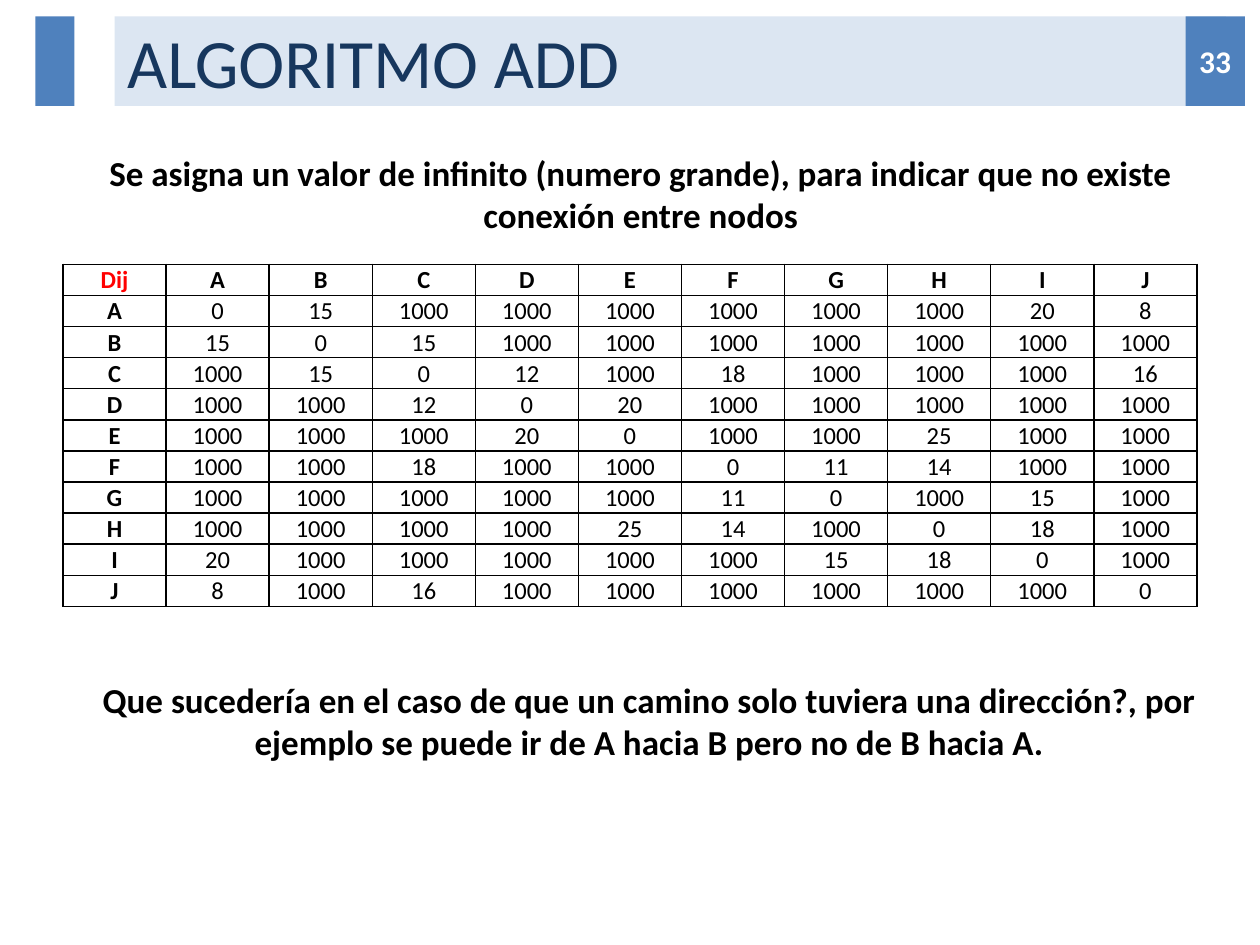
import dataclasses

import pptx
import pptx.dml.color
import pptx.enum.shapes
import pptx.enum.text
import pptx.oxml
import pptx.oxml.ns
import pptx.util

Pt = pptx.util.Pt
ALIGN = pptx.enum.text.PP_ALIGN
MIDDLE = pptx.enum.text.MSO_ANCHOR.MIDDLE

BLACK, WHITE, RED = "000000", "FFFFFF", "FF0000"
BLUE, PALE_BLUE, NAVY = "4F81BD", "DCE6F2", "17375E"
BAND_TOP, BAND_HEIGHT = 9.36, 51.12

NODES = "ABCDEFGHIJ"
NO_CONNECTION = 1000
DISTANCES = {
    "AB": 15, "AI": 20, "AJ": 8, "BC": 15, "CD": 12, "CF": 18, "CJ": 16,
    "DE": 20, "EH": 25, "FG": 11, "FH": 14, "GI": 15, "HI": 18,
}


@dataclasses.dataclass
class Box:
    left: float
    top: float
    width: float
    height: float

    def lengths(self) -> tuple:
        return Pt(self.left), Pt(self.top), Pt(self.width), Pt(self.height)


@dataclasses.dataclass
class Block:
    box: Box
    text: str
    fill: str = ""


BLOCKS = [
    Block(Box(20.16, BAND_TOP, 22.32, BAND_HEIGHT), "", BLUE),
    Block(Box(677.52, BAND_TOP, 33.84, BAND_HEIGHT), "33", BLUE),
]
STATEMENTS = [
    Block(Box(31, 378, 680, 67.7),
          "Que sucedería en el caso de que un camino solo tuviera una dirección?, "
          "por ejemplo se puede ir de A hacia B pero no de B hacia A."),
    Block(Box(20.16, 77, 692, 67.7),
          "Se asigna un valor de infinito (numero grande), para indicar que no "
          "existe conexión entre nodos"),
]


def color(value: str) -> pptx.dml.color.RGBColor:
    return pptx.dml.color.RGBColor.from_string(value)


def write(text_frame, text: str, size: float, text_color: str = BLACK,
          bold: bool = False, align=ALIGN.CENTER) -> None:
    text_frame.text = text
    text_frame.vertical_anchor = MIDDLE
    paragraph = text_frame.paragraphs[0]
    paragraph.alignment = align
    for run in paragraph.runs:
        run.font.name = "Calibri"
        run.font.size = Pt(size)
        run.font.bold = bold
        run.font.color.rgb = color(text_color)


def add_title(slide, box: Box, text: str) -> None:
    title = slide.shapes.title
    title.left, title.top, title.width, title.height = box.lengths()
    title.fill.solid()
    title.fill.fore_color.rgb = color(PALE_BLUE)
    title.text_frame.auto_size = pptx.enum.text.MSO_AUTO_SIZE.NONE
    write(title.text_frame, text, 39.6, NAVY, align=ALIGN.LEFT)


def add_block(slide, block: Block) -> None:
    shape = slide.shapes.add_shape(
        pptx.enum.shapes.MSO_SHAPE.RECTANGLE, *block.box.lengths())
    shape.shadow.inherit = False
    shape.fill.solid()
    shape.fill.fore_color.rgb = color(block.fill)
    shape.line.fill.background()
    if block.text:
        shape.text_frame.word_wrap = False
        write(shape.text_frame, block.text, 18, WHITE, bold=True)


def add_statement(slide, block: Block) -> None:
    shape = slide.shapes.add_textbox(*block.box.lengths())
    shape.text_frame.word_wrap = True
    write(shape.text_frame, block.text, 20, bold=True)


def add_borders(cell) -> None:
    properties = cell._tc.get_or_add_tcPr()
    for index, side in enumerate(("lnL", "lnR", "lnT", "lnB")):
        border = pptx.oxml.parse_xml(
            f'<a:{side} {pptx.oxml.ns.nsdecls("a")} w="{Pt(1)}"><a:solidFill>'
            f'<a:srgbClr val="{BLACK}"/></a:solidFill></a:{side}>')
        properties.insert(index, border)


def distance(start: str, end: str) -> int:
    if start == end:
        return 0
    return DISTANCES.get("".join(sorted(start + end)), NO_CONNECTION)


def add_distance_table(slide, box: Box) -> None:
    rows = [["Dij", *NODES]]
    rows += [[start, *(str(distance(start, end)) for end in NODES)] for start in NODES]
    count = len(rows)
    table = slide.shapes.add_table(count, count, *box.lengths()).table
    for column in table.columns:
        column.width = Pt(box.width / count)
    for row_index, values in enumerate(rows):
        table.rows[row_index].height = Pt(box.height / count)
        for column_index, value in enumerate(values):
            cell = table.cell(row_index, column_index)
            cell.fill.background()
            cell.margin_left = cell.margin_right = cell.margin_top = Pt(0.72)
            cell.margin_bottom = Pt(0)
            cell.vertical_anchor = MIDDLE
            heading = row_index == 0 or column_index == 0
            text_color = RED if row_index == column_index == 0 else BLACK
            write(cell.text_frame, value, 14, text_color, bold=heading)
            # Anchoring belongs to the cell, not to its text body
            cell.text_frame.vertical_anchor = None
            add_borders(cell)


def main() -> None:
    presentation = pptx.Presentation()
    presentation.slide_width, presentation.slide_height = Pt(720), Pt(540)
    slide = presentation.slides.add_slide(presentation.slide_layouts[5])

    # Header band with side accent and page number
    add_title(slide, Box(65.52, BAND_TOP, 635, BAND_HEIGHT), "ALGORITMO ADD")
    for block in BLOCKS:
        add_block(slide, block)

    # Distance matrix between nodes
    add_distance_table(slide, Box(36, 151, 648, 193))

    # Statements above and below the matrix
    for statement in STATEMENTS:
        add_statement(slide, statement)

    presentation.save("out.pptx")


if __name__ == "__main__":
    main()
